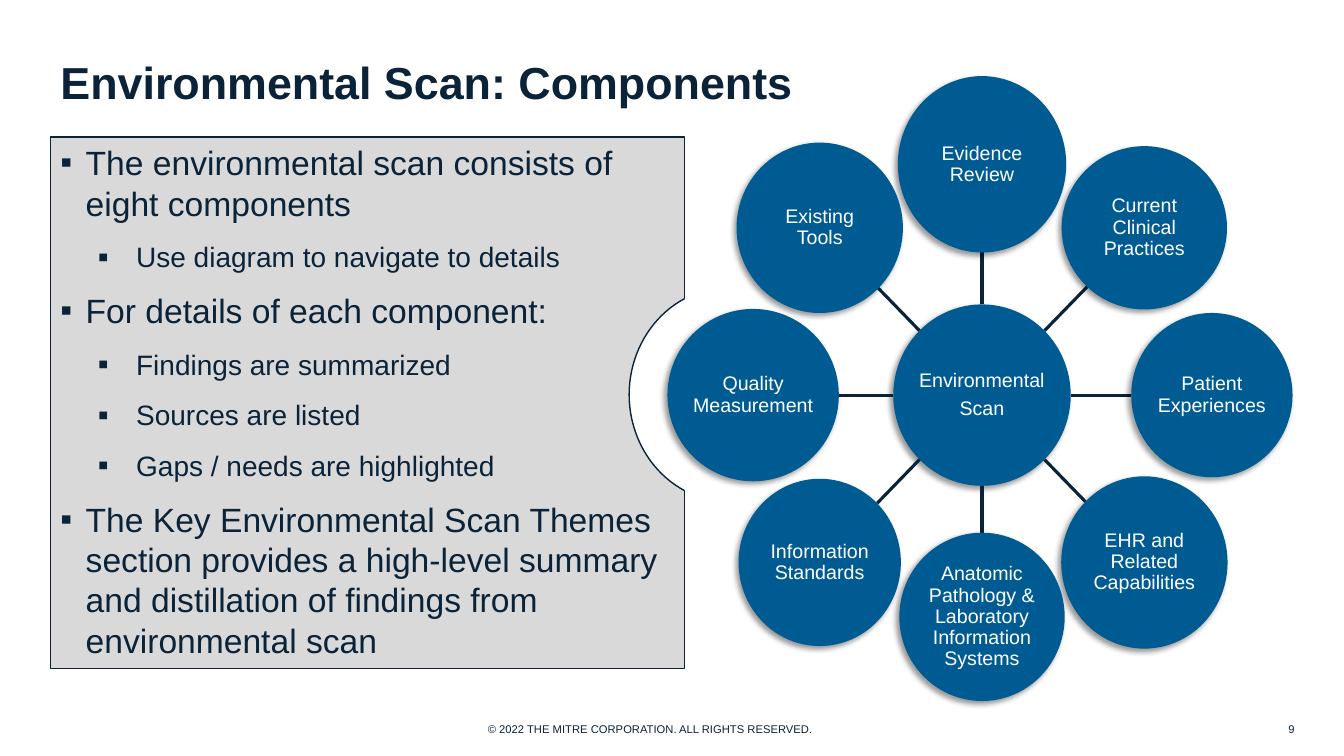
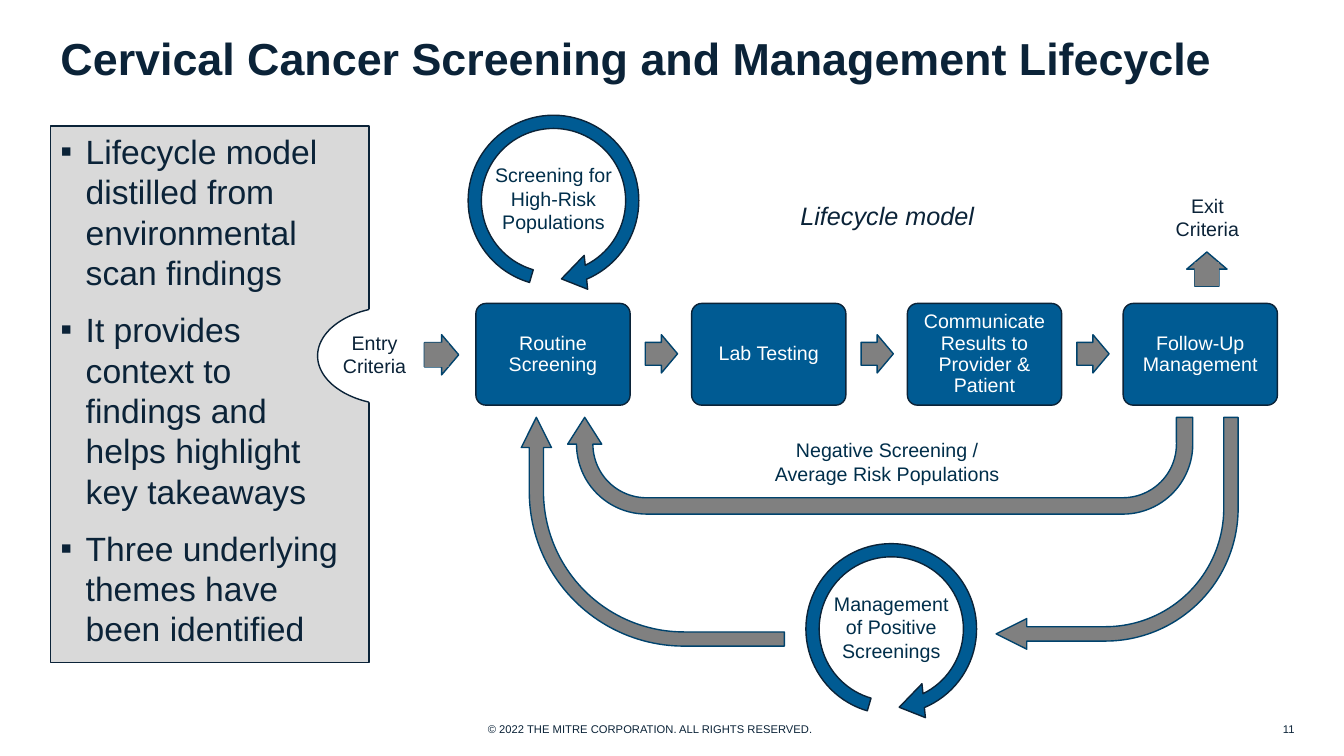
from copy import deepcopy
from dataclasses import dataclass
from math import acos, atan2, cos, hypot, pi, sin

from lxml import etree
from pptx import Presentation
from pptx.dml.color import RGBColor
from pptx.enum.shapes import MSO_CONNECTOR, MSO_SHAPE as Kind
from pptx.enum.text import MSO_ANCHOR as Anchor, MSO_AUTO_SIZE, PP_ALIGN as Align
from pptx.oxml.ns import qn
from pptx.util import Inches, Pt


@dataclass(frozen=True)
class Theme:
    font: str = "Arial"
    navy: str = "0B2338"
    ink: str = "002E4A"
    blue: str = "005B93"
    edge: str = "00436D"
    gray: str = "808080"
    panel: str = "D9D9D9"
    white: str = "FFFFFF"
    title: int = 32
    bullets: tuple = (24, 20)
    caption: int = 18
    label: int = 14
    footer: int = 8
    outline: int = 1
    spoke: float = 2.25


THEME = Theme()
COPYRIGHT = "© 2022 THE MITRE CORPORATION. ALL RIGHTS RESERVED."

# Label, centre x, centre y, width, height
HUB = ("Environmental\nScan", 9.74, 3.92, 1.76, 1.8)
COMPONENTS = [
    ("Evidence\vReview", 9.74, 1.63, 1.67, 1.75),
    ("Current\vClinical\vPractices", 11.35, 2.26, 1.64, 1.62),
    ("Patient\vExperiences", 12.02, 3.92, 1.6, 1.63),
    ("EHR and\vRelated\vCapabilities", 11.35, 5.58, 1.65, 1.71),
    ("Anatomic\vPathology &\vLaboratory\vInformation\vSystems", 9.74, 6.12, 1.64, 1.67),
    ("Information\vStandards", 8.13, 5.58, 1.61, 1.66),
    ("Quality\vMeasurement", 7.47, 3.92, 1.7, 1.71),
    ("Existing\vTools", 8.13, 2.26, 1.65, 1.69),
]

# Level, text
SCAN_POINTS = [
    (0, "The environmental scan consists of eight components"),
    (1, "Use diagram to navigate to details"),
    (0, "For details of each component:"),
    (1, "Findings are summarized"),
    (1, "Sources are listed"),
    (1, "Gaps / needs are highlighted"),
    (0, "The Key Environmental Scan Themes section provides a high-level summary "
        "and distillation of findings from environmental scan"),
]
LIFECYCLE_POINTS = [
    (0, "Lifecycle model distilled from environmental scan findings"),
    (0, "It provides\vcontext to\vfindings and\vhelps highlight key takeaways"),
    (0, "Three underlying themes have been identified"),
]
STEPS = ["Routine Screening", "Lab Testing",
         "Communicate Results to Provider & Patient", "Follow-Up Management"]


# Formatting helpers
def rgb(value):
    return RGBColor.from_string(value)


def place(shape, box):
    shape.left, shape.top, shape.width, shape.height = map(Inches, box)


def paint(shape, fill=None, line=None):
    shape.shadow.inherit = False
    if fill:
        shape.fill.solid()
        shape.fill.fore_color.rgb = rgb(fill)
    else:
        shape.fill.background()
    if line:
        shape.line.color.rgb = rgb(line)
        shape.line.width = Pt(THEME.outline)
    else:
        shape.line.fill.background()


def style_runs(para, size, color, bold=False, italic=False):
    for span in para.runs:
        span.font.name = THEME.font
        span.font.size = Pt(size)
        span.font.color.rgb = rgb(color)
        span.font.bold = bold
        span.font.italic = italic
    # Line breaks take the size of the text around them
    for line_break in para._p.findall(qn("a:br")):
        line_break.insert(0, deepcopy(para.runs[0]._r.rPr))


def set_insets(frame, across, down):
    frame.margin_left = frame.margin_right = Inches(across)
    frame.margin_top = frame.margin_bottom = Inches(down)


def add_bullet(para, level):
    props = para._p.get_or_add_pPr()
    left, hanging = ((0.25, -0.25), (0.75, -0.38))[level]
    props.set("marL", str(Inches(left)))
    props.set("indent", str(Inches(hanging)))
    if level:
        color = etree.SubElement(props, qn("a:buClr"))
        etree.SubElement(color, qn("a:srgbClr"), val=THEME.navy)
        etree.SubElement(props, qn("a:buSzPct"), val="110000")
    etree.SubElement(props, qn("a:buFont"), typeface=THEME.font)
    etree.SubElement(props, qn("a:buChar"), char="▪")


def add_soft_shadow(shape):
    effects = shape._element.spPr.find(qn("a:effectLst"))
    shadow = etree.SubElement(effects, qn("a:outerShdw"), blurRad=str(Pt(4)),
                              dist=str(Pt(3)), dir=str(135 * 60000), rotWithShape="0")
    color = etree.SubElement(shadow, qn("a:srgbClr"), val="000000")
    etree.SubElement(color, qn("a:alpha"), val="40000")


# Elements
def add_label(page, text, box, size=THEME.label, color=THEME.ink,
              align=Align.CENTER, wrap=True, italic=False):
    label = page.shapes.add_textbox(*map(Inches, box))
    frame = label.text_frame
    frame.word_wrap = wrap
    frame.text = text
    for para in frame.paragraphs:
        para.alignment = align
        style_runs(para, size, color, italic=italic)
    return label


def add_figure(page, kind, box, fill, line=None, rotation=0, adjust=()):
    figure = page.shapes.add_shape(kind, *map(Inches, box))
    paint(figure, fill, line)
    figure.rotation = rotation
    for index, value in enumerate(adjust):
        figure.adjustments[index] = value
    return figure


def add_inner_text(shape, text, inset=0, wrap=True):
    frame = shape.text_frame
    frame.word_wrap = wrap
    frame.vertical_anchor = Anchor.MIDDLE
    set_insets(frame, inset, inset)
    frame.text = text
    for para in frame.paragraphs:
        para.alignment = Align.CENTER
        para.line_spacing = 0.9
        style_runs(para, THEME.label, THEME.white)
    for para in frame.paragraphs[:-1]:
        para.space_after = Pt(5)


def add_page(deck, title, title_top, points, panel, number):
    page = deck.slides.add_slide(deck.slide_layouts[1])
    heading, body = page.placeholders[0], page.placeholders[1]

    # Title
    place(heading, (0.5, title_top, 12.33, 0.76))
    frame = heading.text_frame
    frame.text = title
    frame.vertical_anchor = Anchor.MIDDLE
    frame.auto_size = MSO_AUTO_SIZE.NONE
    frame.paragraphs[0].alignment = Align.LEFT
    style_runs(frame.paragraphs[0], THEME.title, THEME.navy, bold=True)

    # Bulleted panel
    place(body, panel)
    body.fill.solid()
    body.fill.fore_color.rgb = rgb(THEME.panel)
    body.line.color.rgb = rgb(THEME.navy)
    body.line.width = Pt(THEME.outline)
    frame = body.text_frame
    frame.auto_size = MSO_AUTO_SIZE.NONE
    for index, (level, text) in enumerate(points):
        para = frame.add_paragraph() if index else frame.paragraphs[0]
        para.text = text
        para.level = level
        add_bullet(para, level)
        para.space_before = Pt(6 if index else 0)
        para.space_after = Pt(6)
        style_runs(para, THEME.bullets[level], THEME.navy)

    # Footer
    add_label(page, COPYRIGHT, (4.74, 7.12, 3.51, 0.24), THEME.footer,
              THEME.navy, Align.LEFT, wrap=False)
    folio = add_label(page, str(number), (11.96, 7.09, 0.88, 0.28),
                      THEME.footer, THEME.navy, Align.RIGHT)
    set_insets(folio.text_frame, 0, 0.05)
    folio.text_frame.vertical_anchor = Anchor.MIDDLE
    return page


def add_notch(page, panel, oval):
    """Cut a round bite from the panel's right side and outline it."""
    add_figure(page, Kind.OVAL, oval, THEME.white)
    left, top, width, height = oval
    rx, ry = width / 2, height / 2
    cx, cy = left + rx, top + ry
    start = acos((panel[0] + panel[2] - cx) / rx)
    steps = 40
    angles = [start + (2 * pi - 2 * start) * i / steps for i in range(steps + 1)]
    points = [(Inches(cx + rx * cos(a)), Inches(cy - ry * sin(a))) for a in angles]
    builder = page.shapes.build_freeform(*points[0])
    builder.add_line_segments(points[1:], close=False)
    paint(builder.convert_to_shape(), line=THEME.navy)


def add_disc(page, disc):
    text, cx, cy, width, height = disc
    box = (cx - width / 2, cy - height / 2, width, height)
    oval = add_figure(page, Kind.OVAL, box, THEME.blue)
    add_soft_shadow(oval)
    add_inner_text(oval, text, wrap=False)


def rim_point(disc, angle):
    _, cx, cy, width, height = disc
    reach = 1 / hypot(cos(angle) / (width / 2), sin(angle) / (height / 2))
    return Inches(cx + reach * cos(angle)), Inches(cy + reach * sin(angle))


def add_spoke(page, hub, disc):
    angle = atan2(disc[2] - hub[2], disc[1] - hub[1])
    spoke = page.shapes.add_connector(MSO_CONNECTOR.STRAIGHT, *rim_point(hub, angle),
                                      *rim_point(disc, angle + pi))
    spoke.line.color.rgb = rgb(THEME.navy)
    spoke.line.width = Pt(THEME.spoke)
    etree.SubElement(spoke._element.spPr, qn("a:effectLst"))


def add_arrow(page, kind, box, adjust=(0.6, 0.5), rotation=0):
    add_figure(page, kind, box, THEME.gray, THEME.edge, rotation, adjust)


def add_loop(page, text, text_box, left, top):
    add_label(page, text, text_box)
    add_figure(page, Kind.CIRCULAR_ARROW, (left, top, 1.9, 1.9), THEME.blue, THEME.navy,
               adjust=(0.069, 11.118, 39.407, 63.776, 0.089))


# Slides
def build_components(deck):
    panel = (0.5, 1.36, 6.29, 5.27)
    page = add_page(deck, "Environmental Scan: Components", 0.43, SCAN_POINTS, panel, 9)
    add_notch(page, panel, (6.24, 2.85, 1.99, 2.13))
    add_disc(page, HUB)
    for disc in COMPONENTS:
        add_spoke(page, HUB, disc)
        add_disc(page, disc)


def build_lifecycle(deck):
    panel = (0.5, 1.25, 3.16, 5.32)
    page = add_page(deck, "Cervical Cancer Screening and Management Lifecycle", 0.19,
                    LIFECYCLE_POINTS, panel, 11)
    add_notch(page, panel, (3.15, 3.04, 1.56, 0.98))
    add_label(page, "Lifecycle model", (7.84, 1.94, 1.94, 0.4), THEME.caption,
              THEME.navy, Align.LEFT, wrap=False, italic=True)

    # Row of steps
    for index, step in enumerate(STEPS):
        left = 4.72 + 2.14 * index
        card = add_figure(page, Kind.ROUNDED_RECTANGLE, (left, 3.01, 1.53, 1.01),
                          THEME.blue, THEME.navy, adjust=(0.1,))
        add_inner_text(card, step, 0.06)
        if index < len(STEPS) - 1:
            add_arrow(page, Kind.RIGHT_ARROW, (left + 1.68, 3.32, 0.32, 0.38))

    # Entry and exit, with open-ended arrows
    for text, text_box, arrow, tail, rotation in [
        ("Entry Criteria", (3.22, 3.23), (4.21, 3.32), (4.21, 3.4), 0),
        ("Exit Criteria", (11.48, 1.87), (11.8, 2.47), (11.85, 2.6), 270),
    ]:
        add_arrow(page, Kind.RIGHT_ARROW, (*arrow, 0.34, 0.4), rotation=rotation)
        add_figure(page, Kind.RECTANGLE, (*tail, 0.24, 0.24), THEME.gray)
        add_label(page, text, (*text_box, 0.99, 0.57), color=THEME.navy)

    # Return paths
    add_label(page, "Negative Screening /\nAverage Risk Populations", (7.18, 4.3, 3.24, 0.57))
    add_arrow(page, Kind.U_TURN_ARROW, (5.63, 4.14, 6.2, 0.96),
              (0.169, 0.176, 0.277, 0.723, 1), 180)
    add_arrow(page, Kind.BENT_ARROW, (9.88, 4.14, 2.4, 2.3), (0.062, 0.066, 0.132, 0.573), 180)
    add_arrow(page, Kind.BENT_ARROW, (5.34, 3.97, 2.27, 2.61), (0.062, 0.066, 0.132, 0.676), 270)

    # Loops
    add_loop(page, "Screening for High-Risk Populations", (4.63, 1.57, 1.72, 0.81), 4.54, 1.04)
    add_loop(page, "Management\nof Positive Screenings", (7.98, 5.82, 1.72, 0.89), 7.89, 5.29)


def main():
    deck = Presentation()
    deck.slide_width, deck.slide_height = Inches(13.33), Inches(7.5)
    build_components(deck)
    build_lifecycle(deck)
    deck.save("out.pptx")


if __name__ == "__main__":
    main()
